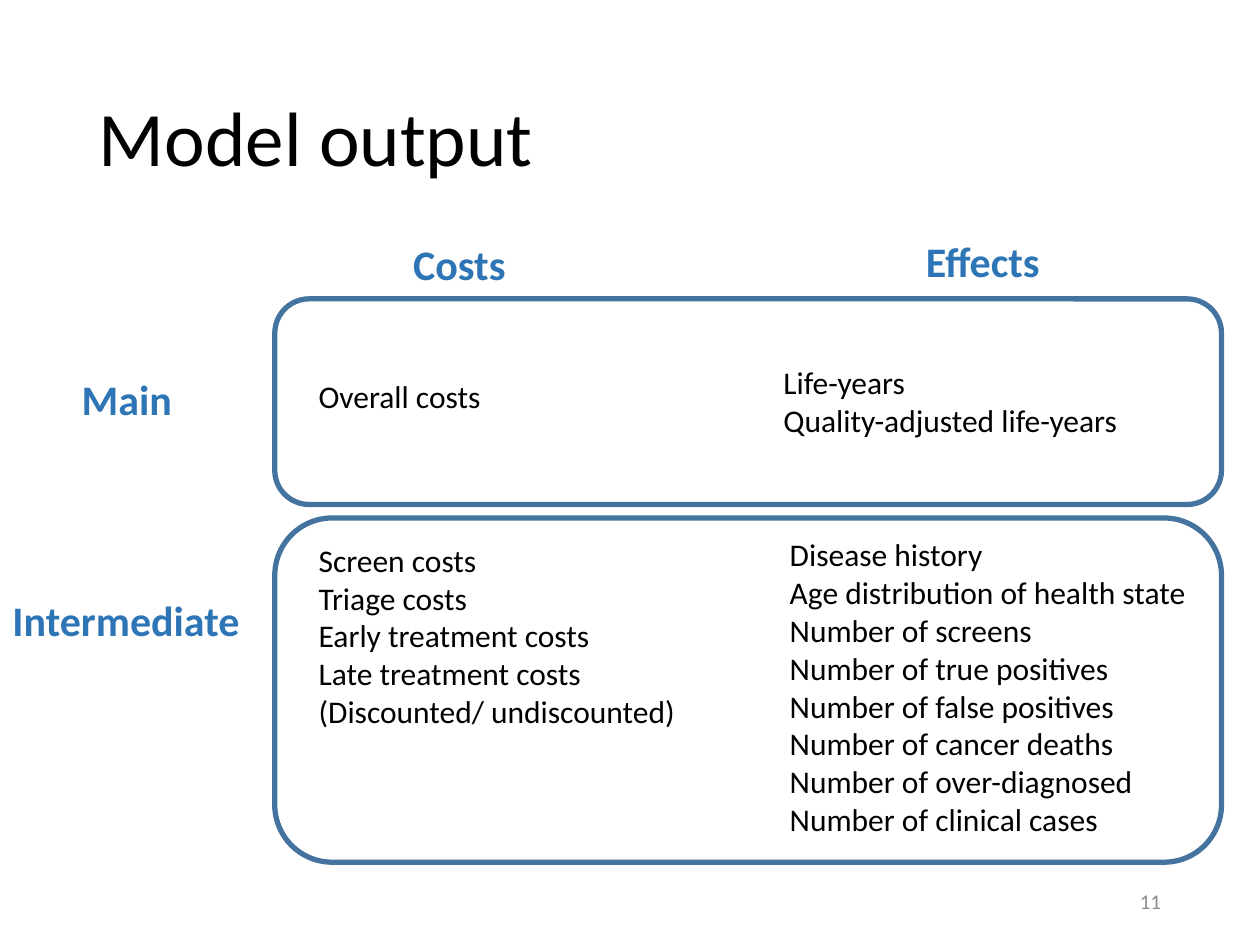
"""Builds the slide that lists the main and intermediate outputs of the model."""
import pptx
import pptx.dml.color
import pptx.enum.shapes
import pptx.enum.text
import pptx.util

Pt = pptx.util.Pt
ALIGN = pptx.enum.text.PP_ALIGN
ANCHOR = pptx.enum.text.MSO_ANCHOR


def colour(value):
    """Turns a hex string into a colour."""
    return pptx.dml.color.RGBColor.from_string(value)


class OutputSlide:
    """Holds the style and the current slide."""

    FONT = "Calibri"
    BLACK, BLUE, FRAME, GREY = "000000", "2E75B6", "43739E", "8C8C8C"

    def __init__(self, deck):
        self.slide = deck.slides.add_slide(deck.slide_layouts[6])

    def text(self, place, lines, size=18, ink=BLACK, bold=False, wrap=True,
             anchor=ANCHOR.TOP, align=ALIGN.LEFT, spacing=1.0):
        """Adds a text box with one paragraph per line."""
        frame = self.slide.shapes.add_textbox(*map(Pt, place)).text_frame
        frame.text = "\n".join(lines)
        for name, value in {"word_wrap": wrap, "vertical_anchor": anchor}.items():
            setattr(frame, name, value)
        for paragraph in frame.paragraphs:
            for name, value in {"alignment": align, "line_spacing": spacing}.items():
                setattr(paragraph, name, value)
            font = paragraph.runs[0].font
            for name, value in {"name": self.FONT, "size": Pt(size), "bold": bold}.items():
                setattr(font, name, value)
            font.color.rgb = colour(ink)

    def heading(self, place, label, wrap=True):
        """Adds a bold blue row or column heading."""
        self.text(place, [label], size=24, ink=self.BLUE, bold=True, wrap=wrap)

    def frame(self, place):
        """Adds an unfilled rounded frame."""
        outline = self.slide.shapes.add_shape(
            pptx.enum.shapes.MSO_SHAPE.ROUNDED_RECTANGLE, *map(Pt, place))
        outline.shadow.inherit = False
        outline.fill.background()
        outline.line.color.rgb = colour(self.FRAME)
        outline.line.width = Pt(3)


def main():
    deck = pptx.Presentation()
    deck.slide_width, deck.slide_height = Pt(720), Pt(540)
    page = OutputSlide(deck)

    page.text((49.5, 28.75, 621, 104.4), ["Model output"], size=44,
              anchor=ANCHOR.MIDDLE, spacing=0.9)
    page.heading((229, 132.5, 279, 36), "Costs")
    page.heading((522, 131, 198, 36), "Effects")

    frame_left, frame_width = 157, 541
    for top, height in ((170.8, 117.5), (296, 196.7)):
        page.frame((frame_left, top, frame_width, height))

    page.heading((39.6, 210.2, 67, 36), "Main", wrap=False)
    page.heading((0, 336.2, 145.4, 36), "Intermediate", wrap=False)

    page.text((440.6, 203.8, 257, 51), ["Life-years", "Quality-adjusted life-years"])
    counted = ("screens", "true positives", "false positives", "cancer deaths",
               "over-diagnosed", "clinical cases")
    page.text((444.2, 302.4, 243.4, 181.4),
              ["Disease history", "Age distribution of health state",
               *(f"Number of {item}" for item in counted)], wrap=False)

    costs_left = 175
    page.text((costs_left, 305.5, 260, 116.6),
              ["Screen costs", "Triage costs", "Early treatment costs",
               "Late treatment costs", "(Discounted/ undiscounted)"])
    page.text((costs_left, 211.8, 108, 29), ["Overall costs"], wrap=False)

    page.text((508.5, 500.5, 162, 28.8), ["11"], size=12, ink=page.GREY,
              anchor=ANCHOR.MIDDLE, align=ALIGN.RIGHT)
    deck.save("out.pptx")


if __name__ == "__main__":
    main()
